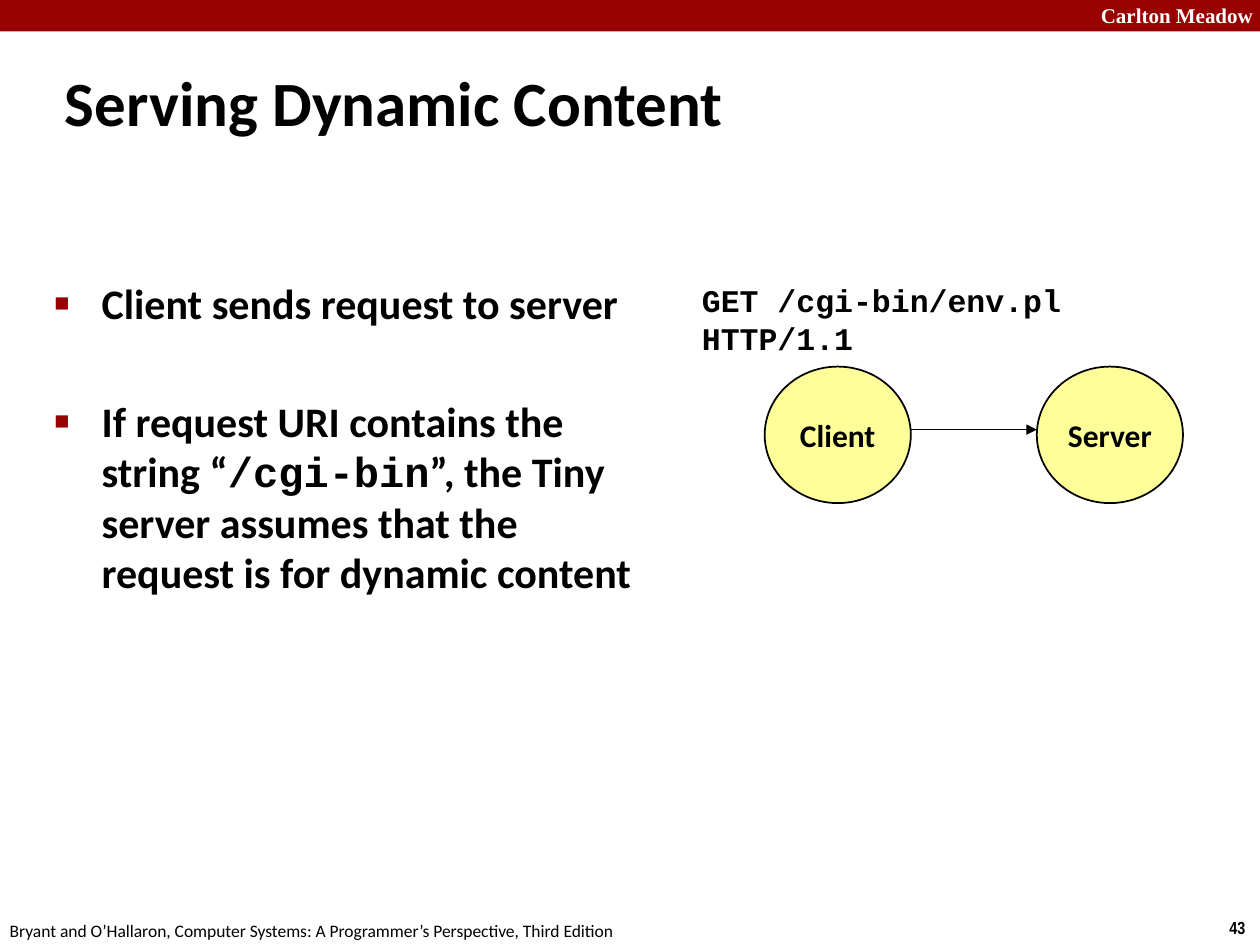
from lxml import etree
from pptx import Presentation
from pptx.dml.color import RGBColor
from pptx.enum import shapes, text
from pptx.oxml import ns
from pptx.util import Pt

COLORS = {"red": "990000", "yellow": "FFFF99", "black": "000000", "white": "FFFFFF"}


def color(name):
    """Return the named colour."""
    return RGBColor.from_string(COLORS[name])


def add_run(p, words, size, font="Calibri", bold=True, ink="black"):
    """Add one formatted run to a paragraph."""
    r = p.add_run()
    r.text = words
    r.font.size = Pt(size)
    r.font.name = font
    r.font.bold = bold
    r.font.color.rgb = color(ink)


def add_box(s, x, y, w, h, wrap=True):
    """Add an empty text box and return its text frame."""
    tf = s.shapes.add_textbox(Pt(x), Pt(y), Pt(w), Pt(h)).text_frame
    tf.word_wrap = wrap
    return tf


def add_label(s, x, y, w, h, words, size, wrap=True, **style):
    """Add a text box holding one run."""
    tf = add_box(s, x, y, w, h, wrap)
    add_run(tf.paragraphs[0], words, size, **style)
    return tf


def add_shape(s, kind, x, y, w, h, fill, line=None):
    """Add a filled preset shape with an optional outline."""
    sp = s.shapes.add_shape(kind, Pt(x), Pt(y), Pt(w), Pt(h))
    sp.shadow.inherit = False
    sp.fill.solid()
    sp.fill.fore_color.rgb = color(fill)
    if line:
        sp.line.color.rgb = color(line)
        sp.line.width = Pt(1)
    else:
        sp.line.fill.background()
    return sp


def add_banner(s, x, y, w, h):
    """Draw the top band with the school name."""
    add_shape(s, shapes.MSO_SHAPE.RECTANGLE, x, y, w, h, "red")
    add_label(s, x + w - 98, y - 2, 103, 21.6, "Carlton Meadow", 12,
              font="Times New Roman", ink="white")


def add_footer(s, x, y, w, h):
    """Place the book credit and the page number."""
    add_label(s, x - 1.5, y + 1.5, 366, h, "Bryant and O’Hallaron, Computer Systems: "
              "A Programmer’s Perspective, Third Edition", 10, wrap=False, bold=False)
    add_label(s, x + w - 24.5, y, 24.5, h, "43", 10, wrap=False, font="Arial Narrow")


def add_bullets(s, x, y, w, h, items, gap):
    """Write bulleted paragraphs, each a list of words and font pairs."""
    tf = add_box(s, x, y, w, h)
    for i, runs in enumerate(items):
        p = tf.add_paragraph() if i else tf.paragraphs[0]
        p.space_before = Pt(gap if i else 0)
        pPr = p._p.get_or_add_pPr()
        pPr.set("marL", str(Pt(27)))
        pPr.set("indent", str(Pt(-27)))
        clr = etree.SubElement(pPr, ns.qn("a:buClr"))
        etree.SubElement(clr, ns.qn("a:srgbClr"), val=COLORS["red"])
        etree.SubElement(pPr, ns.qn("a:buSzPct"), val="60000")
        etree.SubElement(pPr, ns.qn("a:buFont"), typeface="Arial")
        etree.SubElement(pPr, ns.qn("a:buChar"), char="■")
        for words, font in runs:
            add_run(p, words, 24, font)


def add_arrow(s, x1, y1, x2, y2):
    """Draw a straight line with an arrowhead at its end."""
    c = s.shapes.add_connector(shapes.MSO_CONNECTOR.STRAIGHT, Pt(x1), Pt(y1), Pt(x2), Pt(y2))
    c.line.color.rgb = color("black")
    c.line.width = Pt(1)
    etree.SubElement(c.line._get_or_add_ln(), ns.qn("a:tailEnd"), type="triangle")
    etree.SubElement(c._element.spPr, ns.qn("a:effectLst"))


def add_exchange(s, x, y, w, h):
    """Draw client and server joined by the request."""
    node_w, node_h, left, top = 83.5, 78, x + 43, y + h - 78
    step = 155.5
    for i, name in enumerate(("Client", "Server")):
        sp = add_shape(s, shapes.MSO_SHAPE.OVAL, left + i * step, top, node_w, node_h,
                       "yellow", "black")
        tf = sp.text_frame
        tf.word_wrap = False
        tf.vertical_anchor = text.MSO_ANCHOR.MIDDLE
        p = tf.paragraphs[0]
        p.alignment = text.PP_ALIGN.CENTER
        add_run(p, name, 18)
    add_arrow(s, left + node_w, top + 36, left + step, top + 36)
    tf = add_label(s, x, y, w, 48, "GET /cgi-bin/env.pl HTTP/1.1", 18, font="Courier New")
    tf.vertical_anchor = text.MSO_ANCHOR.MIDDLE


def main():
    """Build and save the slide."""
    prs = Presentation()
    prs.slide_width, prs.slide_height = Pt(720), Pt(540)
    s = prs.slides.add_slide(prs.slide_layouts[6])
    add_banner(s, 0, 0, 720, 18)
    add_footer(s, 0, 520.5, 720, 19.5)
    add_label(s, 30, 33, 480, 45.5, "Serving Dynamic Content", 36)
    add_bullets(s, 24, 155, 348.5, 350, [
        [("Client sends request to server", "Calibri")],
        [("If request URI contains the string “", "Calibri"), ("/cgi-bin", "Courier New"),
         ("”, the Tiny server assumes that the request is for dynamic content", "Calibri")],
    ], gap=38.5)
    add_exchange(s, 394, 158, 315, 129.5)
    prs.save("out.pptx")


if __name__ == "__main__":
    main()
